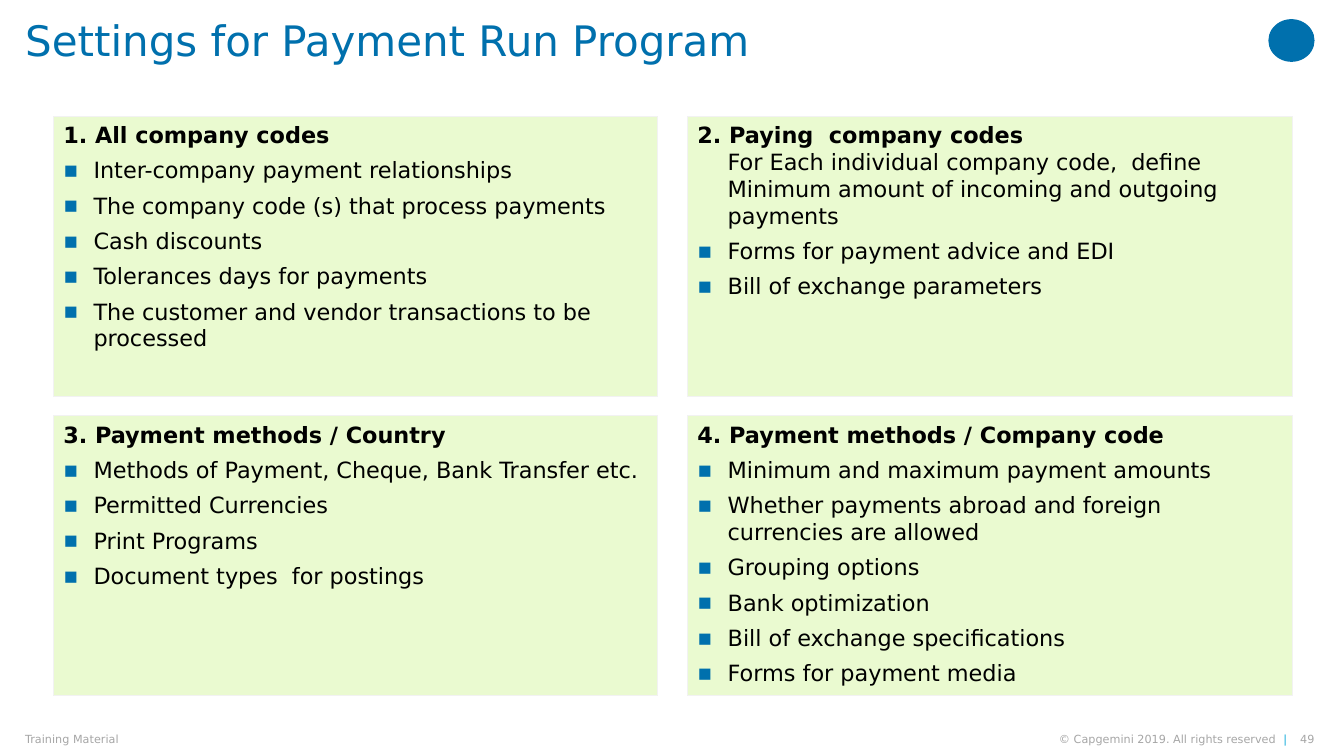
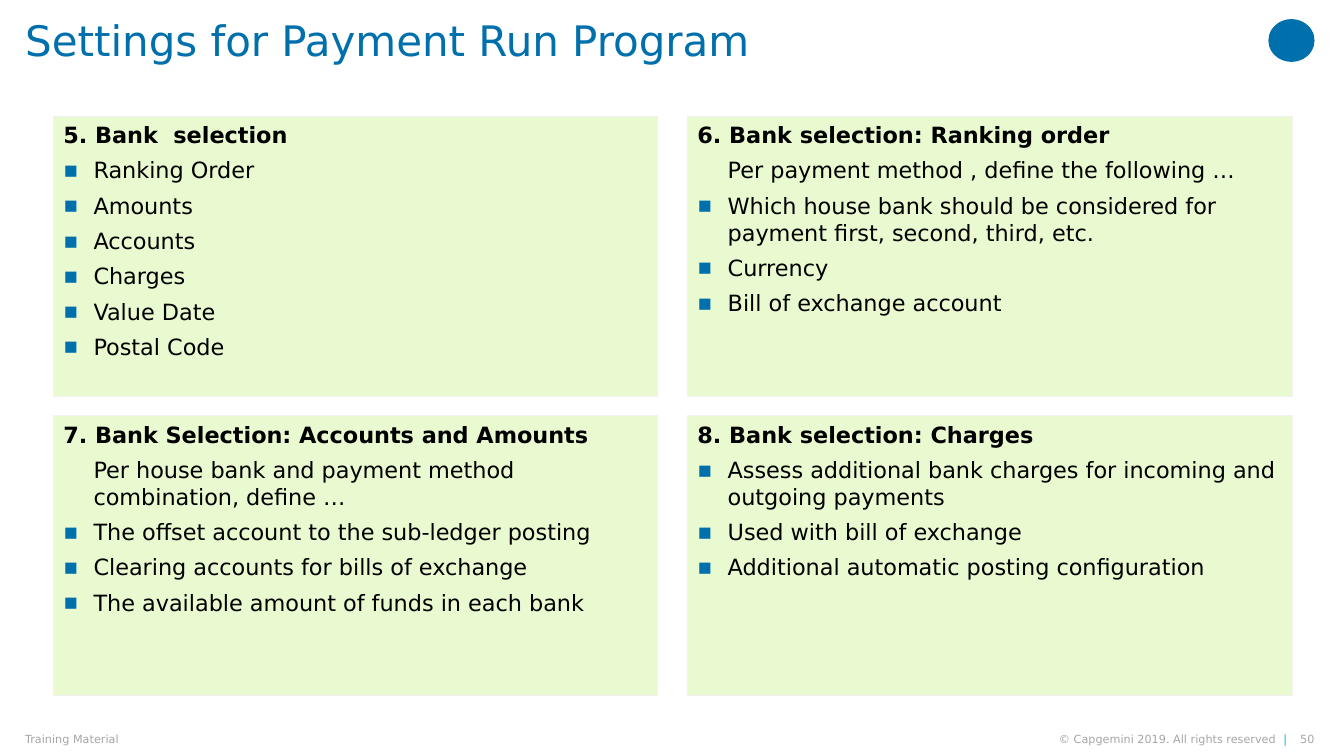
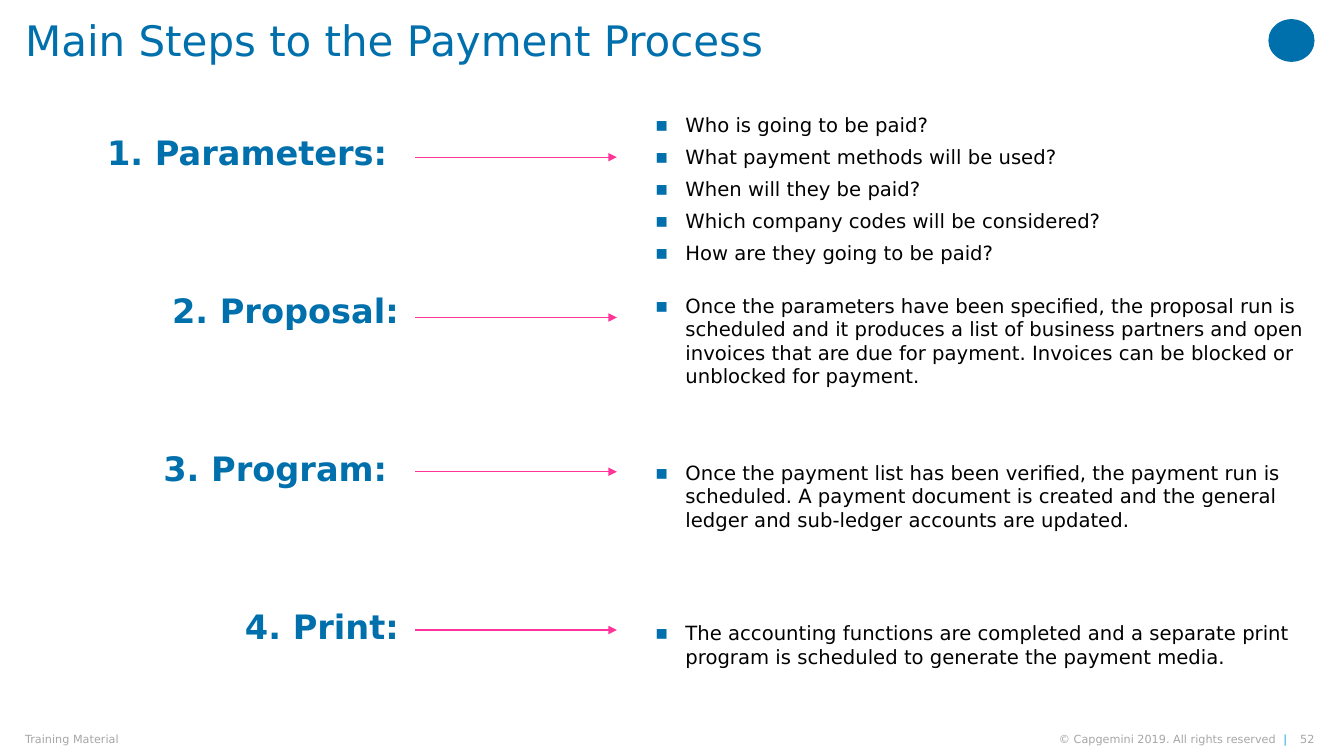
from dataclasses import dataclass

from lxml import etree
from pptx import Presentation
from pptx.dml.color import RGBColor
from pptx.enum.shapes import MSO_CONNECTOR, MSO_SHAPE
from pptx.enum.text import MSO_ANCHOR, MSO_AUTO_SIZE, PP_ALIGN
from pptx.oxml.ns import qn
from pptx.util import Pt

LEFT, RIGHT = PP_ALIGN.LEFT, PP_ALIGN.RIGHT
TOP, MIDDLE = MSO_ANCHOR.TOP, MSO_ANCHOR.MIDDLE
FIXED = MSO_AUTO_SIZE.NONE
STRAIGHT, OVAL = MSO_CONNECTOR.STRAIGHT, MSO_SHAPE.OVAL


@dataclass(frozen=True)
class Theme:
    font: str = "DejaVu Sans"
    blue: RGBColor = RGBColor(0x00, 0x70, 0xAD)
    cyan: RGBColor = RGBColor(0x12, 0xAB, 0xDB)
    pink: RGBColor = RGBColor(0xFF, 0x33, 0x99)
    green: RGBColor = RGBColor(0xEA, 0xFA, 0xD0)
    edge: RGBColor = RGBColor(0xF2, 0xF2, 0xF2)
    grey: RGBColor = RGBColor(0xA6, 0xA6, 0xA6)
    black: RGBColor = RGBColor(0x00, 0x00, 0x00)
    title_size: int = 30
    step_size: int = 24
    panel_size: int = 16
    detail_size: int = 14
    footer_size: int = 8


theme = Theme()


def place(box, left, top, width, height, anchor=TOP, insets=None):
    box.left, box.top, box.width, box.height = Pt(left), Pt(top), Pt(width), Pt(height)
    frame = box.text_frame
    frame.auto_size = FIXED
    frame.word_wrap = True
    frame.vertical_anchor = anchor
    if insets:
        frame.margin_left, frame.margin_top, frame.margin_right, frame.margin_bottom = map(Pt, insets)
    return frame


def write(frame, lines, size, color, align=LEFT):
    for number, (text, bold, before, indent, bullet) in enumerate(lines):
        paragraph = frame.paragraphs[0] if number == 0 else frame.add_paragraph()
        paragraph.text = text
        properties = paragraph._p.get_or_add_pPr()
        properties.set("marL", str(Pt(indent)))
        properties.set("indent", str(Pt(-indent if bullet else 0)))
        if bullet:
            bullet_color = etree.SubElement(properties, qn("a:buClr"))
            etree.SubElement(bullet_color, qn("a:srgbClr"), val=str(theme.blue))
            etree.SubElement(properties, qn("a:buFont"), typeface=theme.font)
            etree.SubElement(properties, qn("a:buChar"), char="▪")
        else:
            etree.SubElement(properties, qn("a:buNone"))
        paragraph.alignment = align
        paragraph.space_before = Pt(before if number else 0)
        for run in paragraph.runs:
            run.font.name = theme.font
            run.font.size = Pt(size)
            run.font.bold = bold
            run.font.color.rgb = color


HANGING = 21.6
GAP = 6
PANEL_LEFT, PANEL_TOP = 38, 83
PANEL_WIDTH, PANEL_HEIGHT = 432, 200
COLUMN_GAP, ROW_GAP = 25, 14
COLUMN_GAP = 21

settings_title = "Settings for Payment Run Program"
pages = [
    (49, settings_title),
    (50, settings_title),
    (52, "Main Steps to the Payment Process"),
]

settings = [
    [
        ("1. All company codes", None, 0, [
            "Inter-company payment relationships",
            "The company code (s) that process payments",
            "Cash discounts",
            "Tolerances days for payments",
            "The customer and vendor transactions to be processed",
        ]),
        ("2. Paying  company codes",
         "For Each individual company code,  define Minimum amount of incoming and outgoing payments", 0, [
             "Forms for payment advice and EDI",
             "Bill of exchange parameters",
         ]),
        ("3. Payment methods / Country", None, 0, [
            "Methods of Payment, Cheque, Bank Transfer etc.",
            "Permitted Currencies",
            "Print Programs",
            "Document types  for postings",
        ]),
        ("4. Payment methods / Company code", None, 0, [
            "Minimum and maximum payment amounts",
            "Whether payments abroad and foreign currencies are allowed",
            "Grouping options",
            "Bank optimization",
            "Bill of exchange specifications",
            "Forms for payment media",
        ]),
    ],
    [
        ("5. Bank  selection", None, 0, [
            "Ranking Order",
            "Amounts",
            "Accounts",
            "Charges",
            "Value Date",
            "Postal Code",
        ]),
        ("6. Bank selection: Ranking order", "Per payment method , define the following …", GAP, [
            "Which house bank should be considered for payment first, second, third, etc.",
            "Currency",
            "Bill of exchange account",
        ]),
        ("7. Bank Selection: Accounts and Amounts",
         "Per house bank and payment method combination, define …", GAP, [
             "The offset account to the sub-ledger posting",
             "Clearing accounts for bills of exchange",
             "The available amount of funds in each bank",
         ]),
        ("8. Bank selection: Charges", None, 0, [
            "Assess additional bank charges for incoming and outgoing payments",
            "Used with bill of exchange",
            "Additional automatic posting configuration",
        ]),
    ],
]

steps = [
    ("1. Parameters: ", 112.3, 77, 117, [
        "Who is going to be paid?",
        "What payment methods will be used?",
        "When will they be paid?",
        "Which company codes will be considered?",
        "How are they going to be paid?",
    ]),
    ("2. Proposal:", 226.8, 206, 75, [
        "Once the parameters have been specified, the proposal run is scheduled and it produces "
        "a list of business partners and open invoices that are due for payment. "
        "Invoices can be blocked or unblocked for payment.",
    ]),
    ("3. Program: ", 337, 325.4, 58, [
        "Once the payment list has been verified, the payment run is scheduled. "
        "A payment document is created and the general ledger and sub-ledger accounts are updated.",
    ]),
    ("4. Print:", 450, 440, 41, [
        "The accounting functions are completed and a separate print program is scheduled "
        "to generate the payment media.",
    ]),
]

presentation = Presentation()
presentation.slide_width, presentation.slide_height = Pt(960), Pt(540)
four_bodies = presentation.slide_layouts.get_by_name("Comparison")

slides = []
for page_number, title in pages:
    slide = presentation.slides.add_slide(four_bodies)
    slides.append(slide)
    heading = place(slide.shapes.title, 18, 0, 876, 57, insets=(0, 14.4, 0, 0))
    write(heading, [(title, False, 0, 0, False)], theme.title_size, theme.blue)
    heading.paragraphs[0].line_spacing = 0.9

    emblem = slide.shapes.add_shape(OVAL, Pt(906), Pt(13.7), Pt(33), Pt(30.5))
    emblem.shadow.inherit = False
    emblem.fill.solid()
    emblem.fill.fore_color.rgb = theme.blue
    emblem.line.fill.background()

    footers = [
        (18, 371, LEFT, "Training Material"),
        (710, 209.5, RIGHT, "© Capgemini 2019. All rights reserved  "),
        (925, 14, RIGHT, str(page_number)),
    ]
    for left, width, align, text in footers:
        footer = place(slide.shapes.add_textbox(0, 0, 0, 0), left, 523.4, width, 9.4, MIDDLE, (0, 0, 0, 0))
        write(footer, [(text, False, 0, 0, False)], theme.footer_size, theme.grey, align)
        if text.startswith("©"):
            separator = footer.paragraphs[0].add_run()
            separator.text = "|"
            separator.font.name = theme.font
            separator.font.size = Pt(theme.footer_size)
            separator.font.color.rgb = theme.cyan

for slide, panels in zip(slides, settings):
    for position, (topic, intro, intro_gap, points) in enumerate(panels):
        row, column = divmod(position, 2)
        panel = slide.placeholders[position + 1]
        panel.fill.solid()
        panel.fill.fore_color.rgb = theme.green
        panel.line.color.rgb = theme.edge
        panel.line.width = Pt(0.75)
        frame = place(
            panel,
            PANEL_LEFT + column * (PANEL_WIDTH + COLUMN_GAP),
            PANEL_TOP + row * (PANEL_HEIGHT + ROW_GAP),
            PANEL_WIDTH,
            PANEL_HEIGHT,
        )
        lines = [(topic, True, 0, 0, False)]
        if intro:
            lines.append((intro, False, intro_gap, HANGING, False))
        lines += [(point, False, GAP, HANGING, True) for point in points]
        write(frame, lines, theme.panel_size, theme.black)

process = slides[-1]
step_names = place(process.shapes.add_textbox(0, 0, 0, 0), 36, 80.6, 249, 394.6, MIDDLE, (0, 0, 0, 0))
write(step_names, [(step[0], True, 84, 0, False) for step in steps], theme.step_size, theme.blue, RIGHT)

for position, (step_name, arrow_y, top, height, details) in enumerate(steps, 1):
    arrow = process.shapes.add_connector(STRAIGHT, Pt(296.6), Pt(arrow_y), Pt(440.6), Pt(arrow_y))
    arrow.line.color.rgb = theme.pink
    arrow.line.width = Pt(0.75)
    etree.SubElement(arrow.line._get_or_add_ln(), qn("a:tailEnd"), type="triangle")
    etree.SubElement(arrow._element.spPr, qn("a:effectLst"))
    frame = place(process.placeholders[position], 460.8, top, 480, height)
    write(frame, [(detail, False, GAP, HANGING, True) for detail in details], theme.detail_size, theme.black)

presentation.save("out.pptx")
